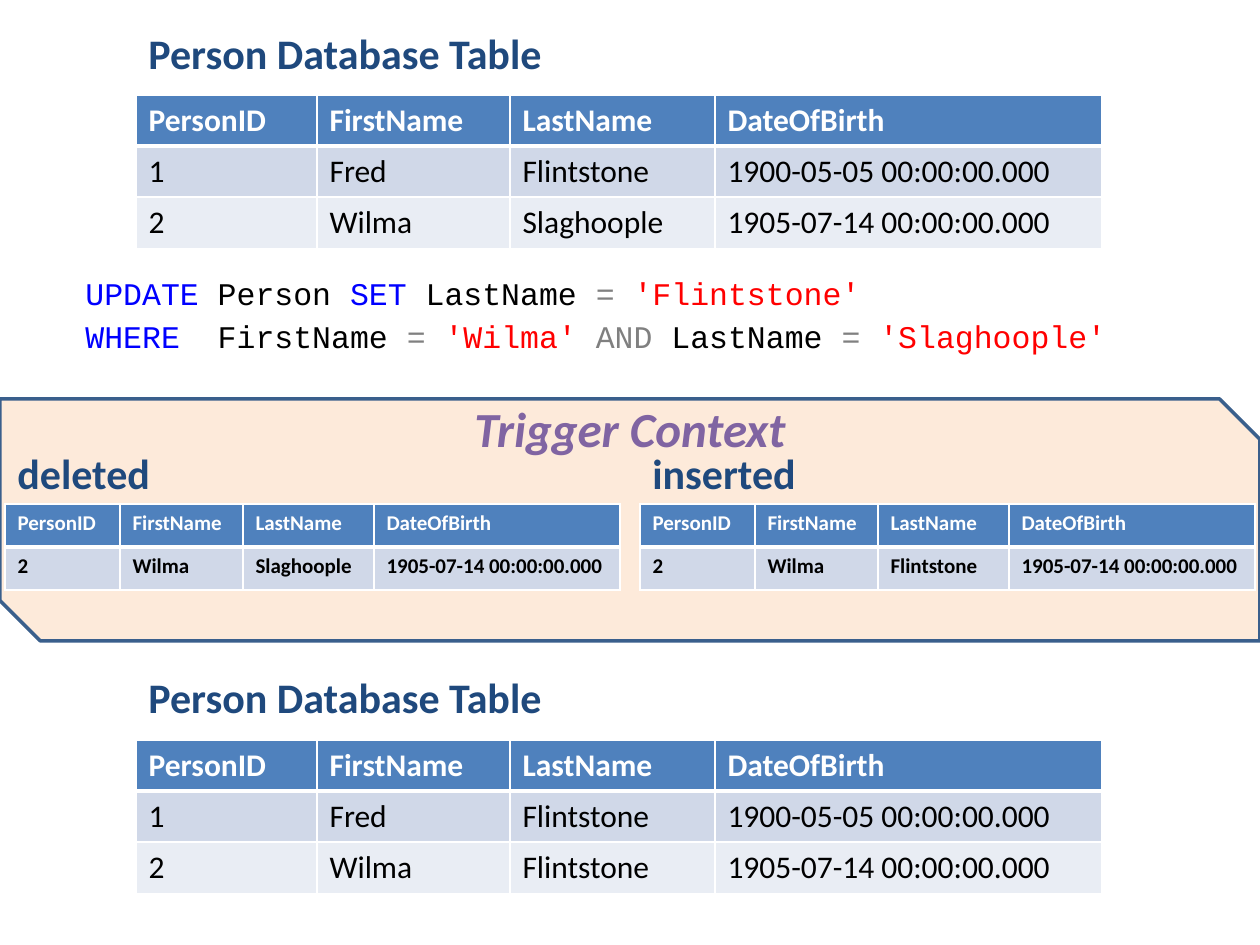
from lxml import etree
from pptx import Presentation
from pptx.dml.color import RGBColor
from pptx.enum.shapes import MSO_SHAPE
from pptx.enum.text import MSO_ANCHOR, PP_ALIGN
from pptx.oxml.ns import qn
from pptx.util import Pt

SNIP = MSO_SHAPE.SNIP_2_DIAG_RECTANGLE
MIDDLE, CENTER = MSO_ANCHOR.MIDDLE, PP_ALIGN.CENTER
SCALE = 914400 / 126

COLORS = {
    "header": "4F81BD", "band1": "D0D8E8", "band2": "E9EDF4", "white": "FFFFFF",
    "black": "000000", "title": "1F497D", "context": "8064A2", "panel": "FDEADA",
    "outline": "3A5F8C", "keyword": "0000FF", "operator": "808080", "string": "FF0000",
}

HEADER = ("PersonID", "FirstName", "LastName", "DateOfBirth")
FRED = ("1", "Fred", "Flintstone", "1900-05-05 00:00:00.000")
WILMA_OLD = ("2", "Wilma", "Slaghoople", "1905-07-14 00:00:00.000")
WILMA_NEW = ("2", "Wilma", "Flintstone", "1905-07-14 00:00:00.000")

LARGE = {"cols": (181, 193, 205, 387), "row": 51, "size": 18, "body_bold": False}
SMALL = {"cols": (115, 123, 131, 246), "row": 43, "size": 12, "body_bold": True}

TABLES = [
    (136, 95, LARGE, (FRED, WILMA_OLD)),
    (5, 504, SMALL, (WILMA_OLD,)),
    (640, 504, SMALL, (WILMA_NEW,)),
    (136, 740, LARGE, (FRED, WILMA_NEW)),
]
HEADINGS = [
    ("Person Database Table", 136, 21, 966),
    ("deleted", 5, 441, 220),
    ("inserted", 640, 441, 220),
    ("Person Database Table", 136, 665, 966),
]
SQL = [
    [("UPDATE", "keyword"), (" Person ", "black"), ("SET ", "keyword"),
     ("LastName ", "black"), ("= ", "operator"), ("'Flintstone'", "string")],
    [("WHERE  ", "keyword"), ("FirstName ", "black"), ("= ", "operator"),
     ("'Wilma' ", "string"), ("AND ", "operator"), ("LastName ", "black"),
     ("= ", "operator"), ("'Slaghoople'", "string")],
]


def px(n):
    return round(n * SCALE)


def rgb(name):
    return RGBColor.from_string(COLORS[name])


def add_run(p, text, color, size, name="Calibri", **fmt):
    r = p.add_run()
    r.text = text
    r.font.color.rgb = rgb(color)
    for key, value in dict(fmt, size=Pt(size), name=name).items():
        setattr(r.font, key, value)


def text_frame(*box):
    tf = s.shapes.add_textbox(*map(px, box)).text_frame
    tf.word_wrap = True
    return tf


def set_borders(cell, widths):
    tcPr = cell._tc.get_or_add_tcPr()
    for side, width in widths.items():
        ln = etree.SubElement(tcPr, qn("a:ln" + side), w=str(Pt(width)))
        fill = etree.SubElement(ln, qn("a:solidFill"))
        etree.SubElement(fill, qn("a:srgbClr"), val=COLORS["white"])


def add_table(left, top, style, body):
    rows = (HEADER,) + body
    cols, height = style["cols"], style["row"]
    table = s.shapes.add_table(len(rows), len(cols), px(left), px(top),
                               px(sum(cols)), px(height * len(rows))).table
    for col, width in zip(table.columns, cols):
        col.width = px(width)
    for i, row in enumerate(rows):
        table.rows[i].height = px(height)
        for j, text in enumerate(row):
            cell = table.cell(i, j)
            set_borders(cell, {"L": 1, "R": 1, "T": 3 if i == 1 else 1,
                               "B": 3 if i == 0 else 1})
            cell.fill.solid()
            cell.fill.fore_color.rgb = rgb(("header", "band1", "band2")[i])
            add_run(cell.text_frame.paragraphs[0], text,
                    "black" if i else "white", style["size"],
                    bold=style["body_bold"] if i else True)


prs = Presentation()
prs.slide_width, prs.slide_height = px(1260), px(945)
s = prs.slides.add_slide(prs.slide_layouts[6])

panel = s.shapes.add_shape(SNIP, *map(px, (0, 399, 1260, 242)))
panel.shadow.inherit = False
panel.fill.solid()
panel.fill.fore_color.rgb = rgb("panel")
panel.line.color.rgb = rgb("outline")
panel.line.width = Pt(2)
tf = panel.text_frame
for key, value in {"vertical_anchor": MIDDLE, "margin_top": 0,
                   "margin_bottom": px(183)}.items():
    setattr(tf, key, value)
tf.paragraphs[0].alignment = CENTER
add_run(tf.paragraphs[0], "Trigger Context", "context", 28, bold=True, italic=True)

for spec_table in TABLES:
    add_table(*spec_table)

for text, left, top, width in HEADINGS:
    add_run(text_frame(left, top, width, 63).paragraphs[0], text, "title", 24, bold=True)

tf = text_frame(73, 262, 1092, 101)
for i, line in enumerate(SQL):
    p = tf.add_paragraph() if i else tf.paragraphs[0]
    p.line_spacing = 1.15
    for text, color in line:
        add_run(p, text, color, 18, "Courier New")
p.space_after = Pt(10)

prs.save("out.pptx")
